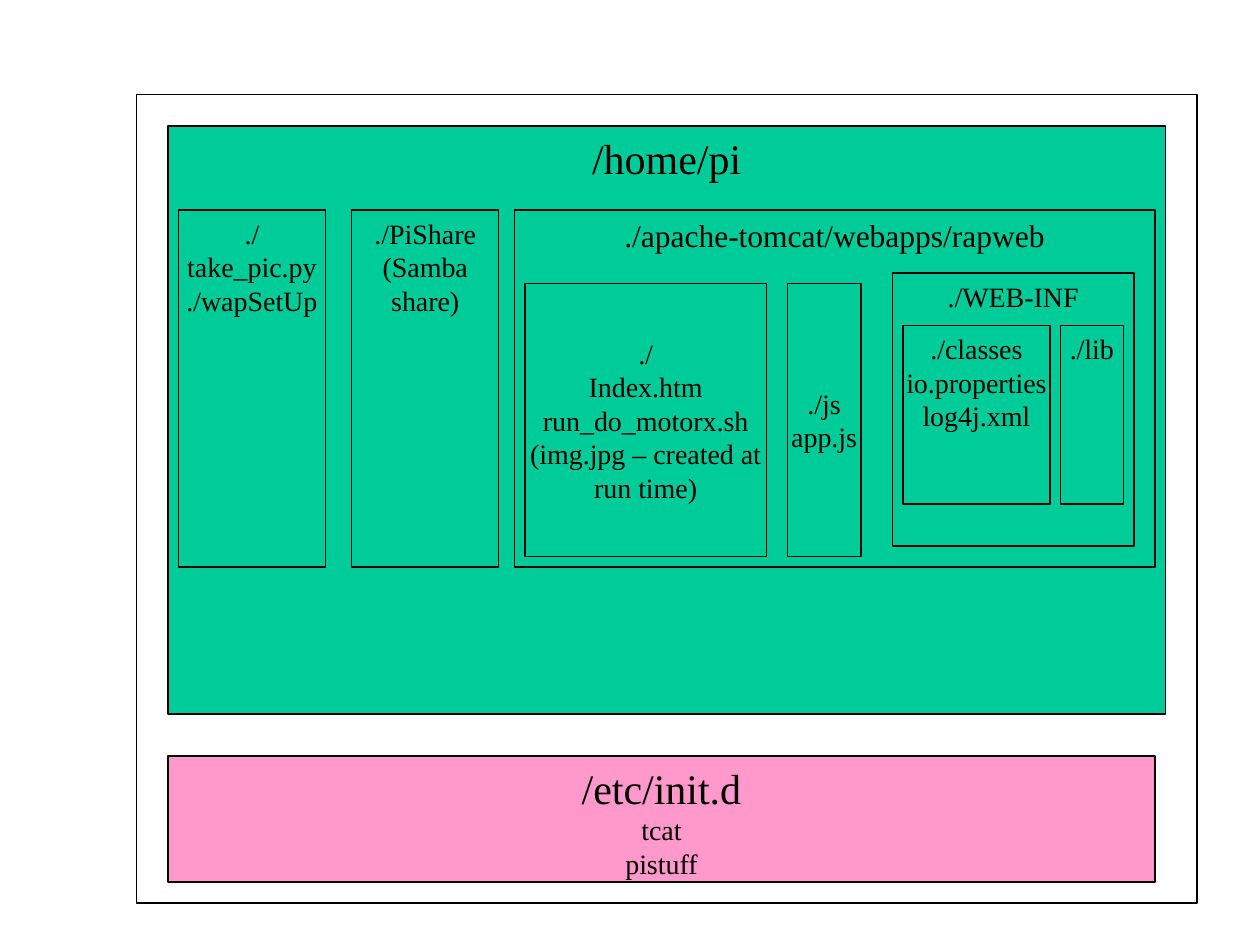
from pptx import Presentation, util as u
from pptx.dml.color import RGBColor
from pptx.enum import shapes, text

COLORS = {"home": "00CC99", "etc": "FF99CC", "ink": "000000"}
FONT = "Times New Roman"
COLS, ROWS = 120, 90
TOP, MIDDLE = text.MSO_ANCHOR.TOP, text.MSO_ANCHOR.MIDDLE

# Each entry: (column, row, columns wide, rows high), lines, format
FOLDERS = [
    ((13, 9, 101, 77), [], dict(fill=None)),
    ((16, 12, 95, 56), ["/home/pi"], dict(head=24)),
    ((49, 20, 61, 34), ["./apache-tomcat/webapps/rapweb"], dict(head=18)),
    ((50, 27, 23, 26),
     ["./", "Index.htm", "run_do_motorx.sh", "(img.jpg – created at", "run time)"],
     dict(anchor=MIDDLE)),
    ((75, 27, 7, 26), ["./js", "app.js"], dict(anchor=MIDDLE)),
]
WEB_INF = [
    ((85, 26, 23, 26), ["./WEB-INF"], {}),
    ((86, 31, 14, 17), ["./classes", "io.properties", "log4j.xml"], {}),
    ((101, 31, 6, 17), ["./lib"], {}),
]
SIDE_FOLDERS = [
    ((16, 72, 94, 12), ["/etc/init.d", "tcat", "pistuff"], dict(head=24, fill="etc")),
    ((17, 20, 14, 34), ["./", "take_pic.py", "./wapSetUp"], {}),
    ((33.5, 20, 14, 34), ["./PiShare", "(Samba", "share)"], {}),
]

prs = Presentation()
prs.slide_width, prs.slide_height = u.Inches(10), u.Inches(7.5)
s = prs.slides.add_slide(prs.slide_layouts[6])


def color(name):
    return RGBColor.from_string(COLORS[name])


def write(tf, lines, head=16, body=16, anchor=TOP):
    tf.word_wrap = False
    tf.vertical_anchor = anchor
    tf.margin_left = tf.margin_right = u.Inches(0.1)
    tf.margin_top = tf.margin_bottom = u.Inches(0.05)
    for i, line in enumerate(lines):
        p = tf.add_paragraph() if i else tf.paragraphs[0]
        p.alignment = text.PP_ALIGN.CENTER
        r = p.add_run()
        r.text = line
        r.font.name = FONT
        r.font.size = u.Pt(body if i else head)
        r.font.color.rgb = color("ink")


def add_folder(parent, cell, lines, fill="home", **fmt):
    col, row, wide, high = cell
    cw, rh = prs.slide_width / COLS, prs.slide_height / ROWS
    sp = parent.add_shape(shapes.MSO_SHAPE.RECTANGLE, int(col * cw), int(row * rh),
                          int(wide * cw), int(high * rh))
    sp.shadow.inherit = False
    sp.line.color.rgb = color("ink")
    sp.line.width = u.Pt(0.75)
    if fill:
        sp.fill.solid()
        sp.fill.fore_color.rgb = color(fill)
    else:
        sp.fill.background()
    if lines:
        write(sp.text_frame, lines, **fmt)


def add_folders(parent, folders):
    for cell, lines, fmt in folders:
        add_folder(parent, cell, lines, **fmt)


add_folders(s.shapes, FOLDERS)
add_folders(s.shapes.add_group_shape().shapes, WEB_INF)
add_folders(s.shapes, SIDE_FOLDERS)
prs.save("out.pptx")
